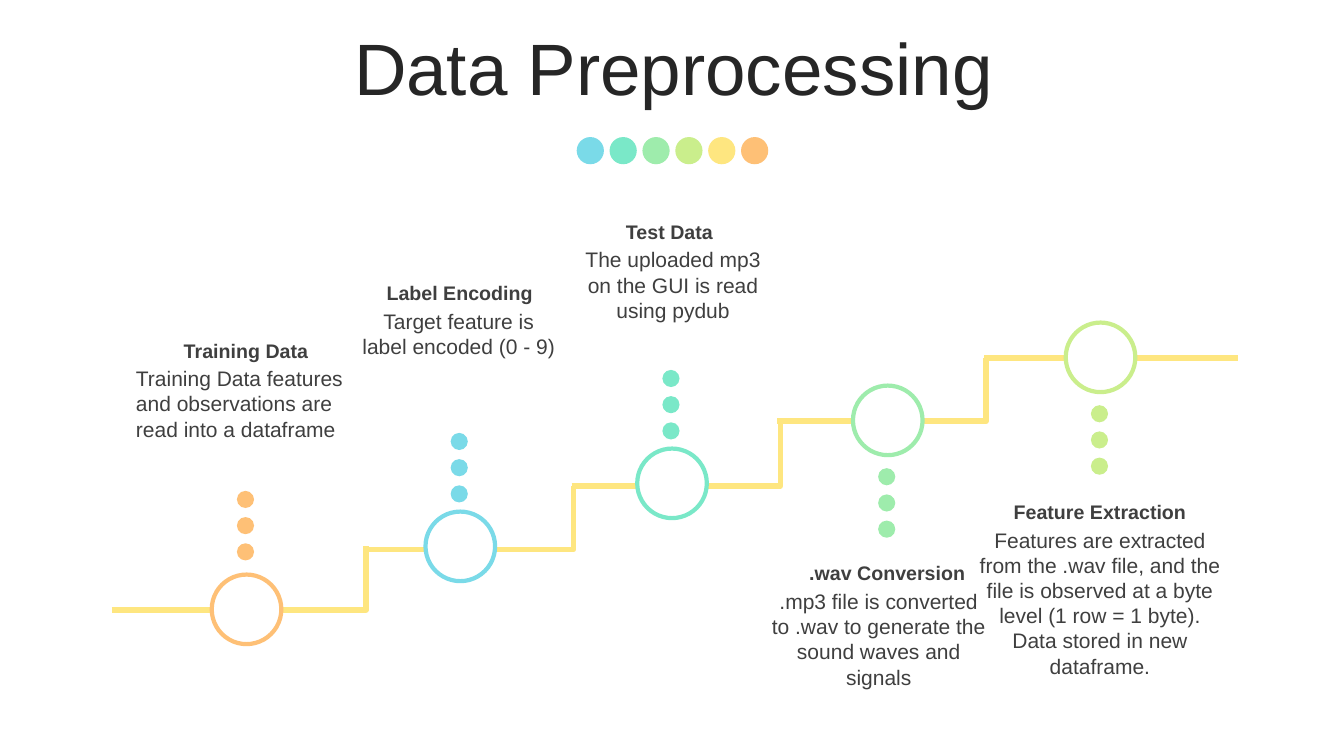
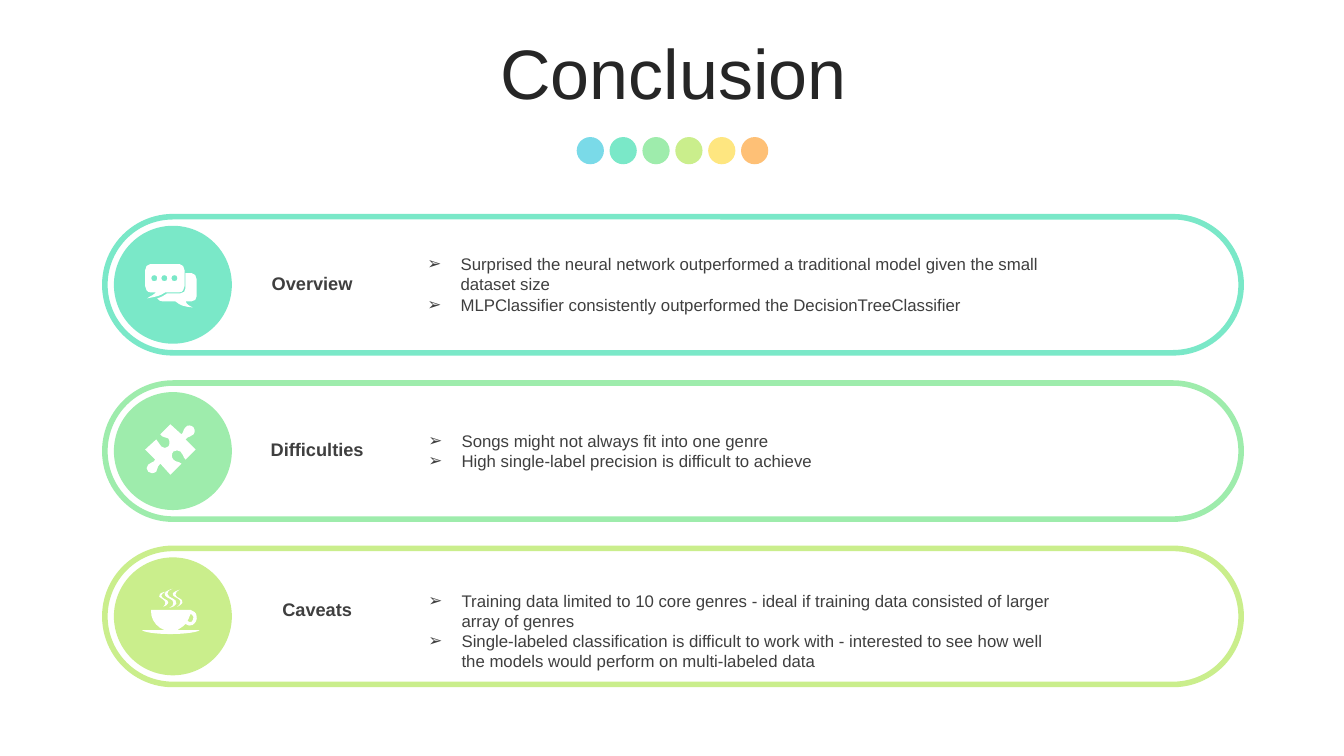
from lxml.etree import SubElement
from pptx import Presentation
from pptx.dml.color import RGBColor
from pptx.enum.shapes import MSO_CONNECTOR, MSO_SHAPE
from pptx.enum.text import MSO_ANCHOR, MSO_AUTO_SIZE, PP_ALIGN
from pptx.oxml.ns import qn
from pptx.util import Inches, Pt

COLORS = {
    "blue": "7ADAE8", "teal": "7AE8C8", "green": "9EECAC", "lime": "CAEE8C",
    "yellow": "FEE680", "orange": "FEC076",
    "white": "FFFFFF", "title": "262626", "text": "3F3F3F",
}
FONT = "Arial"

# Left, top of the tread, width
STAIRS = [(1.11, 6.05, 2.52), (3.62, 5.45, 2.07), (5.67, 4.82, 2.07), (7.71, 4.18, 2.07)]
RISE = 0.63

# Color, ring left, top of dots from the ring, head (left, top, width), body (left, top, width)
STAGES = [
    ("orange", 2.1, -0.83, "Training Data", (1.25, 3.31, 2.38),
     "Training Data features and observations are read into a dataframe", (1.25, 3.58, 2.37)),
    ("blue", 4.22, -0.78, "Label Encoding", (3.46, 2.74, 2.2),
     "Target feature is label encoded (0 - 9)", (3.48, 3.01, 2.14)),
    ("teal", 6.32, -0.78, "Test Data", (5.54, 2.13, 2.2),
     "The uploaded mp3 on the GUI is read using pydub", (5.58, 2.4, 2.19)),
    ("green", 8.46, 0.82, ".wav Conversion", (7.7, 5.52, 2.2),
     ".mp3 file is converted to .wav to generate the sound waves and signals", (7.52, 5.79, 2.39)),
    ("lime", 10.57, 0.82, "Feature Extraction", (9.81, 4.91, 2.2),
     "Features are extracted from the .wav file, and the file is observed at a byte "
     "level (1 row = 1 byte). Data stored in new dataframe.", (9.58, 5.18, 2.66)),
]

# Outlines: a pair is a corner, six numbers are a cubic curve
CHAT = [
    [(x, 2.73), (x - 0.02, 2.73, x - 0.03, 2.74, x - 0.03, 2.76),
     (x - 0.03, 2.78, x - 0.02, 2.79, x, 2.79), (x + 0.02, 2.79, x + 0.03, 2.78, x + 0.03, 2.76),
     (x + 0.03, 2.74, x + 0.02, 2.73, x, 2.73)]
    for x in (1.73, 1.63, 1.53)
] + [
    [(1.84, 2.71), (1.9, 2.71), (1.93, 2.71, 1.95, 2.74, 1.95, 2.77), (1.95, 2.94),
     (1.95, 2.97, 1.93, 2.99, 1.9, 2.99), (1.84, 2.99),
     (1.85, 3.01, 1.85, 3.02, 1.91, 3.05), (1.81, 3.04, 1.79, 3.03, 1.74, 2.99),
     (1.61, 2.99), (1.59, 2.99, 1.57, 2.98, 1.56, 2.96),
     (1.6, 2.95, 1.63, 2.93, 1.66, 2.91), (1.79, 2.91),
     (1.82, 2.91, 1.84, 2.89, 1.84, 2.86), (1.84, 2.71)],
    [(1.49, 2.62), (1.78, 2.62), (1.81, 2.62, 1.83, 2.65, 1.83, 2.68), (1.83, 2.84),
     (1.83, 2.87, 1.81, 2.9, 1.78, 2.9), (1.64, 2.9),
     (1.58, 2.94, 1.56, 2.94, 1.46, 2.96), (1.52, 2.92, 1.52, 2.93, 1.55, 2.9),
     (1.49, 2.9), (1.46, 2.9, 1.44, 2.87, 1.44, 2.84), (1.44, 2.68),
     (1.44, 2.65, 1.46, 2.62, 1.49, 2.62)],
]
PUZZLE = [
    [(1.92, 4.24), (1.93, 4.25, 1.94, 4.28, 1.92, 4.31), (1.9, 4.34, 1.87, 4.32, 1.84, 4.36),
     (1.94, 4.46), (1.84, 4.56), (1.81, 4.53, 1.82, 4.5, 1.79, 4.48),
     (1.77, 4.46, 1.74, 4.47, 1.72, 4.48), (1.7, 4.5, 1.7, 4.54, 1.72, 4.56),
     (1.75, 4.59, 1.76, 4.57, 1.8, 4.6), (1.69, 4.71), (1.59, 4.6),
     (1.55, 4.64, 1.57, 4.65, 1.55, 4.68), (1.52, 4.7, 1.49, 4.7, 1.47, 4.68),
     (1.45, 4.66, 1.45, 4.63, 1.47, 4.61), (1.49, 4.58, 1.52, 4.6, 1.54, 4.56),
     (1.44, 4.46), (1.55, 4.36), (1.58, 4.38, 1.57, 4.41, 1.6, 4.43),
     (1.62, 4.45, 1.65, 4.45, 1.67, 4.43), (1.68, 4.42, 1.69, 4.38, 1.67, 4.35),
     (1.64, 4.33, 1.62, 4.35, 1.59, 4.31), (1.69, 4.21), (1.8, 4.31),
     (1.83, 4.28, 1.81, 4.27, 1.84, 4.24), (1.86, 4.21, 1.9, 4.22, 1.92, 4.24)],
]
CUP = [
    [(1.89, 6.09), (1.88, 6.12, 1.87, 6.14, 1.86, 6.16), (1.87, 6.17, 1.88, 6.17, 1.9, 6.17),
     (1.91, 6.16, 1.92, 6.14, 1.92, 6.12), (1.91, 6.1, 1.9, 6.09, 1.89, 6.09)],
    [(1.89, 6.05), (1.92, 6.06, 1.95, 6.08, 1.95, 6.11), (1.96, 6.15, 1.94, 6.18, 1.91, 6.2),
     (1.89, 6.21, 1.86, 6.21, 1.84, 6.19), (1.82, 6.21, 1.81, 6.22, 1.79, 6.23),
     (1.78, 6.24, 1.77, 6.24, 1.76, 6.25), (1.98, 6.25),
     (1.97, 6.27, 1.84, 6.29, 1.69, 6.29), (1.54, 6.29, 1.42, 6.27, 1.41, 6.25),
     (1.63, 6.25), (1.62, 6.24, 1.6, 6.24, 1.59, 6.23), (1.53, 6.19, 1.49, 6.12, 1.5, 6.05)],
    [(1.64, 5.87), (1.62, 5.89, 1.6, 5.89, 1.6, 5.91), (1.61, 5.95, 1.67, 5.94, 1.67, 5.98),
     (1.66, 6, 1.65, 6.01, 1.62, 6.02), (1.64, 6, 1.64, 5.99, 1.64, 5.98),
     (1.64, 5.95, 1.6, 5.94, 1.58, 5.92), (1.57, 5.9, 1.59, 5.88, 1.64, 5.87)],
    [(1.78, 5.85), (1.76, 5.87, 1.74, 5.87, 1.74, 5.9), (1.75, 5.94, 1.82, 5.93, 1.81, 5.98),
     (1.8, 6, 1.79, 6, 1.76, 6.02), (1.78, 6, 1.79, 5.99, 1.79, 5.97),
     (1.79, 5.94, 1.74, 5.93, 1.72, 5.91), (1.7, 5.88, 1.73, 5.87, 1.78, 5.85)],
    [(1.71, 5.84), (1.68, 5.86, 1.66, 5.86, 1.66, 5.89), (1.67, 5.94, 1.76, 5.93, 1.75, 5.99),
     (1.74, 6.01, 1.72, 6.02, 1.68, 6.03), (1.71, 6.02, 1.72, 6, 1.72, 5.98),
     (1.72, 5.94, 1.66, 5.94, 1.64, 5.91), (1.62, 5.88, 1.65, 5.86, 1.71, 5.84)],
]

# Color, pill top, icon, label, label place (left, top), list place (left, top), list items
ROWS = [
    ("teal", 2.15, CHAT, "Overview", (2.52, 2.65), (3.97, 2.47), [
        "Surprised the neural network outperformed a traditional model given the small dataset size",
        "MLPClassifier consistently outperformed the DecisionTreeClassifier"]),
    ("green", 3.8, PUZZLE, "Difficulties", (2.57, 4.3), (3.98, 4.22), [
        "Songs might not always fit into one genre",
        "High single-label precision is difficult to achieve"]),
    ("lime", 5.44, CUP, "Caveats", (2.57, 5.89), (3.98, 5.81), [
        "Training data limited to 10 core genres - ideal if training data consisted of "
        "larger array of genres",
        "Single-labeled classification is difficult to work with - interested to see how "
        "well the models would perform on multi-labeled data"]),
]


def rgb(name):
    return RGBColor.from_string(COLORS[name])


def paint(shape, fill=None, line=None, width=0):
    shape.shadow.inherit = False
    if fill:
        shape.fill.solid()
        shape.fill.fore_color.rgb = rgb(fill)
    else:
        shape.fill.background()
    if line:
        shape.line.color.rgb = rgb(line)
        shape.line.width = Pt(width)
    else:
        shape.line.fill.background()
    return shape


def disc(slide, left, top, size, fill, line=None, width=0):
    shape = slide.shapes.add_shape(
        MSO_SHAPE.OVAL, Inches(left), Inches(top), Inches(size), Inches(size))
    return paint(shape, fill, line, width)


def style(para, size, color="text", bold=False, align=PP_ALIGN.CENTER):
    para.alignment = align
    para.font.name = FONT
    para.font.size = Pt(size)
    para.font.bold = bold
    para.font.color.rgb = rgb(color)


def frame(slide, left, top, width, height):
    box = slide.shapes.add_textbox(Inches(left), Inches(top), Inches(width), Inches(height))
    box.text_frame.word_wrap = True
    return box.text_frame


def label(slide, text, place, height, size, **look):
    para = frame(slide, *place, height).paragraphs[0]
    para.text = text
    style(para, size, **look)


def bullets(slide, items, spot):
    text = frame(slide, *spot, 6.64, 0.7)
    for i, item in enumerate(items):
        para = text.add_paragraph() if i else text.paragraphs[0]
        para.text = item
        props = para._p.get_or_add_pPr()
        props.set("marL", str(Inches(0.5)))
        props.set("indent", str(Inches(-0.33)))
        tint = SubElement(props, qn("a:buClr"))
        SubElement(tint, qn("a:srgbClr"), val=COLORS["text"])
        SubElement(props, qn("a:buFont"), typeface=FONT)
        SubElement(props, qn("a:buChar"), char="➢")
        style(para, 12, align=PP_ALIGN.LEFT)


def draw(slide, outlines, close=True):
    """Draw all points as lines, then join each three of a curve into one cubic."""
    pen = None
    for outline in outlines:
        first, *rest = [(Inches(part[k]), Inches(part[k + 1]))
                        for part in outline for k in range(0, len(part), 2)]
        if pen:
            pen.move_to(*first)
        else:
            pen = slide.shapes.build_freeform(*first)
        pen.add_line_segments(rest, close=close)
    shape = pen.convert_to_shape()
    lines = iter(list(shape._element.iter(qn("a:lnTo"))))
    for part in (part for outline in outlines for part in outline[1:]):
        line = next(lines)
        if len(part) == 6:
            line.tag = qn("a:cubicBezTo")
            for extra in (next(lines), next(lines)):
                line.append(extra[0])
                extra.getparent().remove(extra)
    return shape


def brand(layout, slide):
    """Give the layout its title place and its row of dots."""
    title = layout.placeholders[0]
    title.left, title.top = Inches(0.35), Inches(0.37)
    title.width, title.height = Inches(12.66), Inches(0.79)
    for i, color in enumerate(["blue", "teal", "green", "lime", "yellow", "orange"]):
        dot = disc(slide, 5.72 + 1.63 / 5 * i, 1.36, 0.27, color)._element
        dot.nvSpPr.cNvPr.set("id", str(20 + i))
        layout.shapes._spTree.append(dot)


def head(slide, text, size, spacing):
    body = slide.shapes.title.text_frame
    body.text = text
    body.auto_size = MSO_AUTO_SIZE.NONE
    body.vertical_anchor = MSO_ANCHOR.MIDDLE
    para = body.paragraphs[0]
    para.line_spacing = spacing
    style(para, size, "title")


def stairs(slide):
    for x, y, width in STAIRS:
        end = x + width
        stair = draw(slide, [[(x, y), (end, y), (end, y - RISE)]], close=False)
        paint(stair, line="yellow", width=4)
    last = slide.shapes.add_connector(
        MSO_CONNECTOR.STRAIGHT, Inches(9.76), Inches(3.55), Inches(12.28), Inches(3.55))
    last.line.color.rgb = rgb("yellow")
    last.line.width = Pt(4)
    SubElement(last._element.spPr, qn("a:effectLst"))


def stage(slide, i, color, left, drop, name, spot, text, area):
    top = 5.7 - 2.5 / 4 * i
    disc(slide, left, top, 0.69, "white", color, 3)
    for n in range(3):
        disc(slide, left + 0.25, top + drop + 0.26 * n, 0.17, color)
    align = PP_ALIGN.CENTER if i else PP_ALIGN.LEFT
    label(slide, text, area, 1.1, 15, align=align)
    label(slide, name, spot, 0.34, 14, bold=True)


def row(slide, color, top, icon, name, spot, place, items):
    pill = slide.shapes.add_shape(
        MSO_SHAPE.ROUNDED_RECTANGLE, Inches(1.04), Inches(top), Inches(11.27), Inches(1.35))
    pill.adjustments[0] = 0.5
    paint(pill, line=color, width=4)
    disc(slide, 1.13, top + 0.09, 1.17, color)
    paint(draw(slide, icon), "white")
    label(slide, name, (*spot, 1.15), 0.35, 13, bold=True)
    bullets(slide, items, place)


def main():
    deck = Presentation()
    deck.slide_width, deck.slide_height = Inches(13.33), Inches(7.5)
    layout = deck.slide_layouts[5]

    steps = deck.slides.add_slide(layout)
    brand(layout, steps)
    head(steps, "Data Preprocessing", 52, 0.7)
    stairs(steps)
    for i, data in enumerate(STAGES):
        stage(steps, i, *data)

    ending = deck.slides.add_slide(layout)
    head(ending, "Conclusion", 50, 0.9)
    for data in ROWS:
        row(ending, *data)

    deck.save("out.pptx")


if __name__ == "__main__":
    main()
